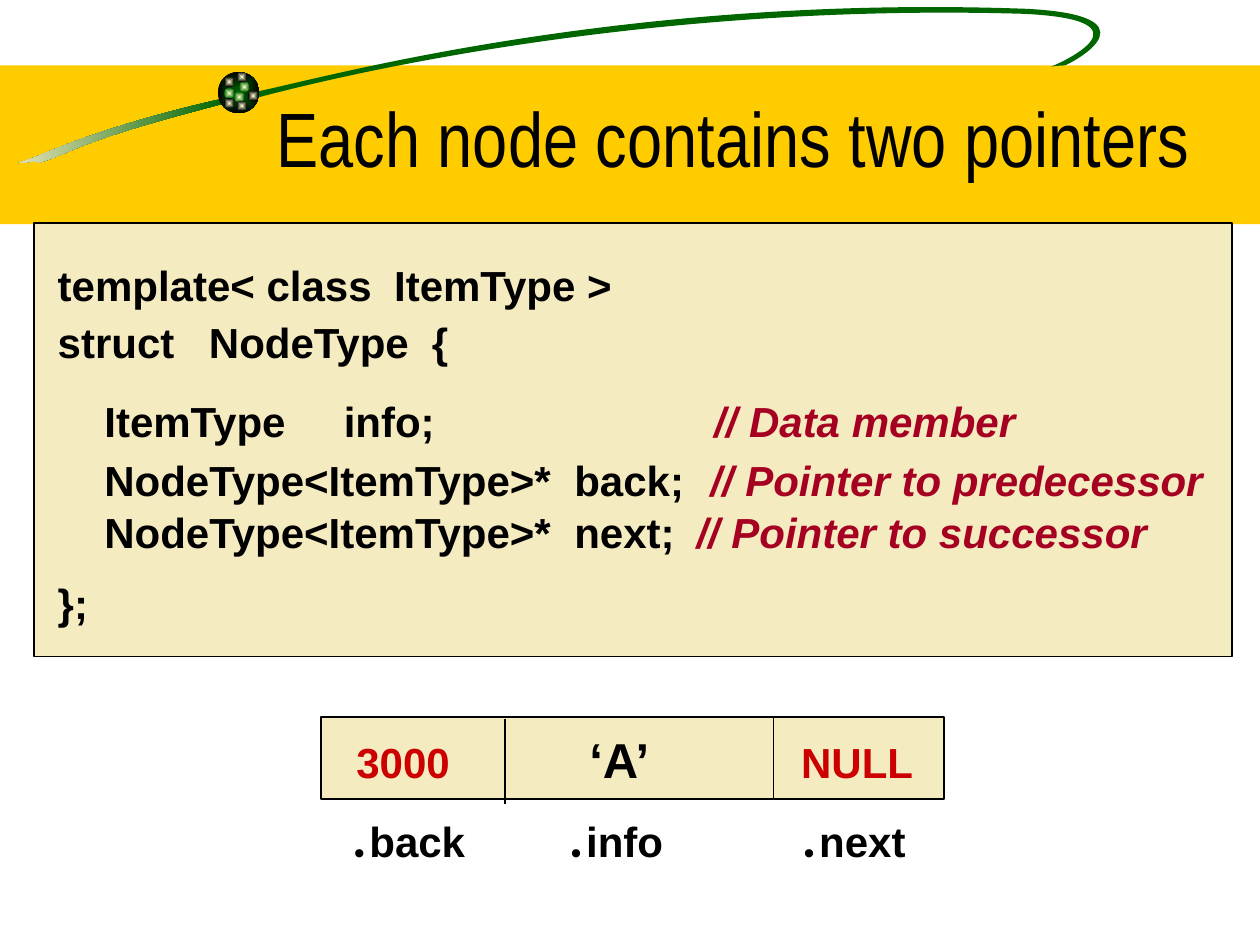
from lxml.etree import SubElement
from pptx import Presentation
from pptx.dml.color import RGBColor
from pptx.enum.shapes import MSO_CONNECTOR as CONN, MSO_SHAPE as SHAPE
from pptx.enum.text import MSO_ANCHOR as ANCHOR, PP_ALIGN as ALIGN
from pptx.oxml.ns import qn
from pptx.util import Inches, Pt

BLACK, GREEN, GOLD, CREAM = "000000", "006600", "FFCC00", "F5EBC1"
GLOW, RED, CRIMSON = "FFFFCC", "CC0000", "A50021"

CODE = {"size": 24, "name": "Arial", "bold": True, "color": BLACK}
COMMENT = {**CODE, "italic": True, "color": CRIMSON}
VALUE = {**CODE, "color": RED}
LETTER = {**CODE, "size": 28}
DOT = {**CODE, "name": "Montserrat"}
THIN = {**DOT, "size": 10, "bold": False}
TITLE = {"size": 44, "name": "Arial Narrow", "color": BLACK}

TITLE_LINES = [(0, [], [("Each node contains two pointers", TITLE)])]
CODE_LINES = [
    (0, [2.67], [("template< class\tItemType >", CODE)]),
    (4, [1.2, 2.97], [("struct\tNodeType\t{", CODE)]),
    (16, [0.37, 2.27, 5.21], [("\tItemType\tinfo;\t", CODE), ("// Data member", COMMENT)]),
    (5, [0.37, 4.1, 5.18],
     [("\tNodeType<ItemType>*\tback;\t", CODE), ("// Pointer to predecessor", COMMENT)]),
    (1, [0.37, 4.1, 5.07],
     [("\tNodeType<ItemType>*\tnext;\t", CODE), ("// Pointer to successor", COMMENT)]),
    (12, [], [("};", CODE)]),
]
VALUE_LINES = [(0, [0.1, 1.95, 3.63], [("\t3000", VALUE), ("\t‘A’", LETTER), ("\tNULL", VALUE)])]
FIELDS = ["back", "info", "next"]
FIELD_RUNS = [run for field in FIELDS
              for run in (("\t", CODE), (".", DOT), (" ", THIN), (field, CODE))]
FIELD_LINES = [(0, [0.08, 1.8, 3.65], FIELD_RUNS)]

TAIL = [
    (1.78, 0.78),
    (0.91, 0.98), (0.49, 1.16), (0.25, 1.26),
    (0.01, 1.34), (0.26, 1.26), (0.31, 1.29),
    (0.57, 1.22), (0.57, 1.13), (1.79, 0.82)]
SWOOSH = [
    (2.02, 0.73),
    (2.46, 0.65), (4.86, -0.05), (8.14, 0.07),
    (9.17, 0.12), (8.57, 0.47), (8.45, 0.52),
    (8.45, 0.52), (8.38, 0.52), (8.34, 0.53),
    (8.44, 0.49), (9.16, 0.16), (8.13, 0.11),
    (5.48, 0.03), (3.2, 0.47), (2.06, 0.77)]
SPOTS = [
    (1.9, 0.65, GREEN), (1.78, 0.61, BLACK), (1.78, 0.7, GREEN),
    (1.86, 0.73, GREEN), (1.97, 0.72, BLACK), (1.88, 0.8, BLACK),
    (1.78, 0.78, BLACK), (1.88, 0.57, BLACK)]
DIVIDERS = [(4.01, 5.71, 6.38), (6.14, 5.69, 6.35)]


def rgb(color):
    return RGBColor.from_string(color)


def paint(sp, fill, line=None):
    sp.shadow.inherit = False
    if isinstance(fill, tuple):
        sp.fill.gradient()
        for stop, color, position in zip(sp.fill.gradient_stops, fill, (0, 1)):
            stop.color.rgb = rgb(color)
            stop.position = position
    else:
        sp.fill.solid()
        sp.fill.fore_color.rgb = rgb(fill)
    if line:
        sp.line.color.rgb = rgb(line)
        sp.line.width = Pt(1)
    else:
        sp.line.fill.background()
    return sp


def add_box(s, kind, box, fill, line=None):
    return paint(s.shapes.add_shape(kind, *map(Inches, box)), fill, line)


def add_glow(s, box, inner, outer):
    sp = add_box(s, SHAPE.OVAL, box, (inner, outer))
    grad = sp._element.spPr.find(qn("a:gradFill"))
    grad.remove(grad.find(qn("a:lin")))
    center = SubElement(grad, qn("a:path"), {"path": "rect"})
    SubElement(center, qn("a:fillToRect"), dict.fromkeys("ltrb", "50000"))


def add_curve(s, outline, fill):
    start, *points = [(Inches(x), Inches(y)) for x, y in outline]
    builder = s.shapes.build_freeform(*start)
    builder.add_line_segments(points, close=True)
    sp = builder.convert_to_shape()
    steps = list(sp._element.iter(qn("a:lnTo")))
    for i in range(0, len(points), 3):
        curve = steps[i].makeelement(qn("a:cubicBezTo"))
        steps[i].addprevious(curve)
        for step in steps[i:i + 3]:
            curve.append(step[0])
            step.getparent().remove(step)
    return paint(sp, fill)


def add_text(s, box, lines, align=ALIGN.LEFT, anchor=ANCHOR.TOP):
    tf = s.shapes.add_textbox(*map(Inches, box)).text_frame
    tf.word_wrap = True
    tf.vertical_anchor = anchor
    for i, (before, tabs, runs) in enumerate(lines):
        p = tf.add_paragraph() if i else tf.paragraphs[0]
        p.alignment = align
        p.space_before = Pt(before)
        if tabs:
            tab_list = SubElement(p._p.get_or_add_pPr(), qn("a:tabLst"))
            for tab in tabs:
                SubElement(tab_list, qn("a:tab"), {"pos": str(Inches(tab)), "algn": "l"})
        for text, style in runs:
            r = p.add_run()
            r.text = text
            for key, value in style.items():
                if key == "color":
                    r.font.color.rgb = rgb(value)
                else:
                    setattr(r.font, key, Pt(value) if key == "size" else value)


def add_line(s, x, top, bottom):
    line = s.shapes.add_connector(CONN.STRAIGHT, *map(Inches, (x, top, x, bottom)))
    line.line.color.rgb = rgb(BLACK)
    line.line.width = Pt(1)
    SubElement(line._element.spPr, qn("a:effectLst"))


def main():
    prs = Presentation()
    prs.slide_width, prs.slide_height = Inches(10), Inches(7.5)
    s = prs.slides.add_slide(prs.slide_layouts[6])

    add_box(s, SHAPE.RECTANGLE, (0, 0.52, 10, 1.26), GOLD)
    add_curve(s, TAIL, (GREEN, CREAM)).fill.gradient_angle = 180
    add_curve(s, SWOOSH, GREEN)
    add_glow(s, (1.73, 0.57, 0.33, 0.33), GREEN, BLACK)
    for x, y, edge in SPOTS:
        add_glow(s, (x, y, 0.08, 0.08), GLOW, edge)

    add_box(s, SHAPE.RECTANGLE, (0.27, 1.77, 9.51, 3.44), CREAM, BLACK)
    add_text(s, (1.34, 0.25, 8.96, 1.25), TITLE_LINES, ALIGN.CENTER, ANCHOR.BOTTOM)
    add_text(s, (0.36, 2.01, 9.41, 3.02), CODE_LINES)

    add_box(s, SHAPE.RECTANGLE, (2.55, 5.69, 4.94, 0.65), CREAM, BLACK)
    for divider in DIVIDERS:
        add_line(s, *divider)
    add_text(s, (2.63, 6.42, 4.68, 0.5), FIELD_LINES)
    add_text(s, (2.63, 5.74, 4.74, 0.57), VALUE_LINES)

    prs.save("out.pptx")


if __name__ == "__main__":
    main()
